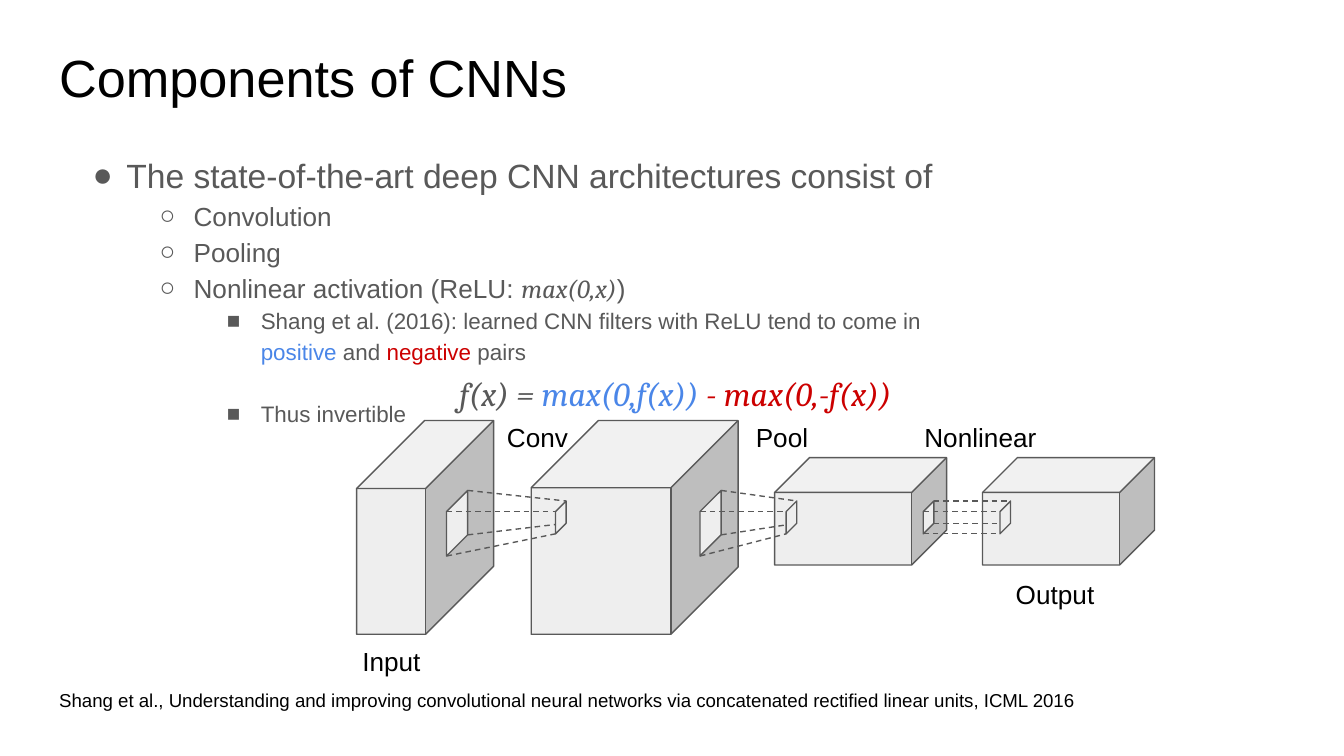
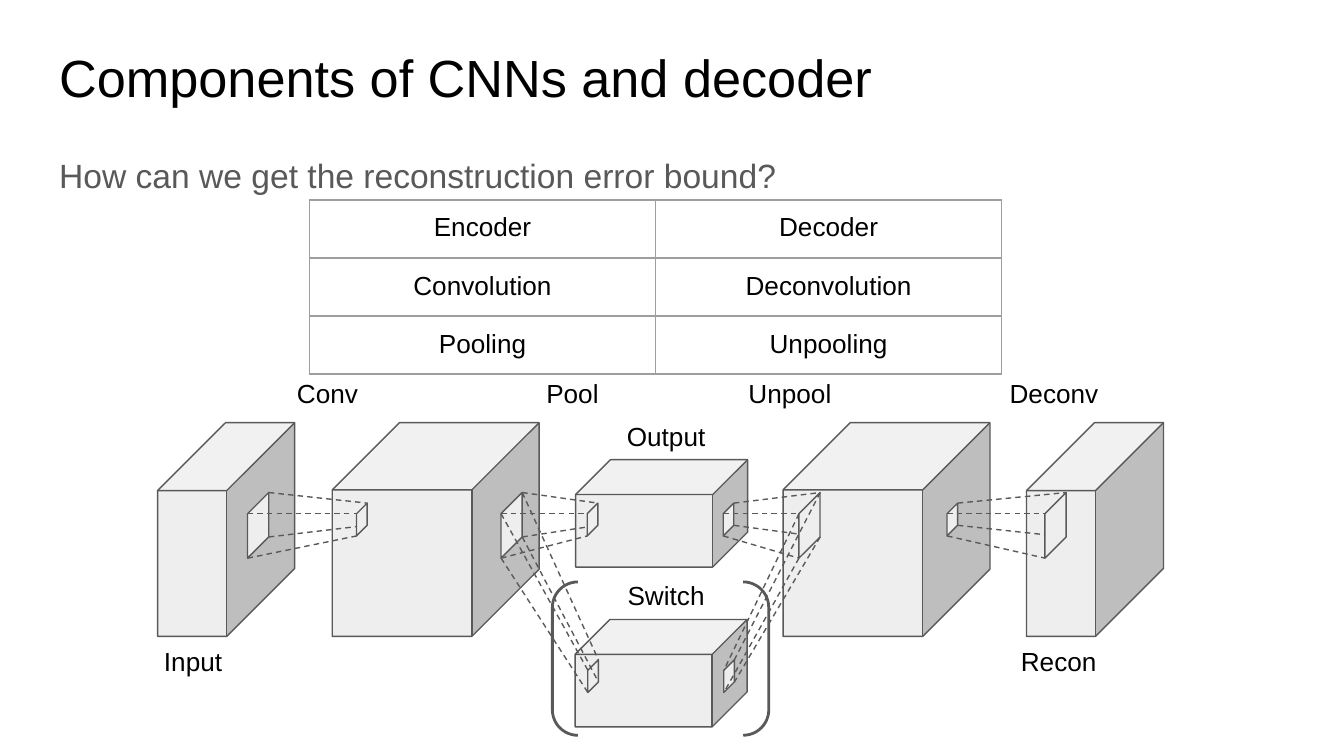
from collections import namedtuple

from lxml.etree import SubElement
from pptx import Presentation
from pptx.dml.color import RGBColor
from pptx.enum.dml import MSO_LINE
from pptx.enum.shapes import MSO_CONNECTOR, MSO_SHAPE
from pptx.enum.text import MSO_ANCHOR, PP_ALIGN
from pptx.oxml.ns import qn
from pptx.util import Cm, Pt

BLACK, GREY, PALE, RULE = "000000", "595959", "EEEEEE", "9E9E9E"
BLUE, RED = "4A86E8", "CC0000"
SERIF = {"font": "Cambria", "italic": True}
INSET = 0.25
BULLETS = "●○■"
BODY_SIZES = (18, 14, 12)
TITLE_BOX = (0.87, 0.61, 23.67, 1.6)
BODY_BOX = (0.87, 2.57, 23.67, 11.05)
CITATION_BOX = (0.87, 12.81, 23.67, 0.9)

SLAB = (2.59, 4.04, 0.496)
BLOCK = (3.91, 4.04, 0.325)
BRICK = (3.25, 2.03, 0.325)
SMALL, LARGE = 0.2, 0.4
PATCH_RATIO = 3.1
PATCH_DROP = 1.72

Patch = namedtuple("Patch", "left top width")


def rgb(color):
    return RGBColor.from_string(color)


def lengths(box):
    return [Cm(value) for value in box]


def write(paragraph, text, size=14, color=BLACK, font="Arial", italic=False):
    for index, line in enumerate(text.split("\n")):
        if index:
            paragraph.add_line_break()
        if line:
            run = paragraph.add_run()
            run.text = line
            run.font.size = Pt(size)
            run.font.name = font
            run.font.italic = italic
            run.font.color.rgb = rgb(color)


def add_text(slide, box, text="", align=PP_ALIGN.LEFT, anchor=MSO_ANCHOR.TOP,
             spacing=1.0, **text_format):
    frame = slide.shapes.add_textbox(*lengths(box)).text_frame
    frame.word_wrap = True
    frame.vertical_anchor = anchor
    frame.margin_left = frame.margin_right = Cm(INSET)
    frame.margin_top = frame.margin_bottom = Cm(INSET)
    paragraph = frame.paragraphs[0]
    paragraph.alignment = align
    paragraph.line_spacing = spacing
    write(paragraph, text, **text_format)
    return frame


def add_label(slide, text, center, top, width=2.11):
    add_text(slide, (center - width / 2, top, width, 0.91), text,
             align=PP_ALIGN.CENTER, anchor=MSO_ANCHOR.MIDDLE)


def add_bullet(paragraph, level):
    paragraph.level = level
    paragraph.line_spacing = 1.15
    properties = paragraph._p.get_or_add_pPr()
    properties.set("marL", str(Cm(1.27 * (level + 1))))
    properties.set("indent", str(Cm(-0.64)))
    bullet_color = SubElement(properties, qn("a:buClr"))
    SubElement(bullet_color, qn("a:srgbClr"), val=GREY)
    SubElement(properties, qn("a:buFont"), typeface="Arial")
    SubElement(properties, qn("a:buChar"), char=BULLETS[level])


def add_outline(slide, preset, box, fill=PALE, width=0.75):
    shape = slide.shapes.add_shape(preset, *lengths(box))
    shape.shadow.inherit = False
    if fill:
        shape.fill.solid()
        shape.fill.fore_color.rgb = rgb(fill)
    else:
        shape.fill.background()
    shape.line.color.rgb = rgb(GREY)
    shape.line.width = Pt(width)
    return shape


def add_layer(slide, left, top, form):
    width, height, depth = form
    cube = add_outline(slide, MSO_SHAPE.CUBE, (left, top, width, height))
    cube.adjustments[0] = depth


def add_patch(slide, patch):
    width, height = patch.width, patch.width * PATCH_RATIO
    center_x = patch.left + width / 2
    center_y = patch.top - width + height / 2
    box = (center_x - height / 2, center_y - width / 2, height, width)
    shape = add_outline(slide, MSO_SHAPE.PARALLELOGRAM, box)
    shape.adjustments[0] = 1.0
    shape.rotation = 90
    shape.element.spPr.xfrm.set("flipH", "1")


def patch_corners(patch):
    left, top, width = patch
    right = left + width
    edge = width * (PATCH_RATIO - 1)
    return ((left, top), (right, top - width),
            (right, top - width + edge), (left, top + edge))


def add_rays(slide, start, end):
    for begin, finish in zip(patch_corners(start), patch_corners(end)):
        ray = slide.shapes.add_connector(MSO_CONNECTOR.STRAIGHT,
                                         *lengths(begin + finish))
        ray.line.color.rgb = rgb(GREY)
        ray.line.width = Pt(0.75)
        ray.line.dash_style = MSO_LINE.DASH
        SubElement(ray.element.spPr, qn("a:effectLst"))


def add_link(slide, start, end):
    add_patch(slide, start)
    add_rays(slide, start, end)
    add_patch(slide, end)


def add_encoder(slide, left, top):
    add_layer(slide, left, top, SLAB)
    add_layer(slide, left + 3.3, top, BLOCK)
    add_layer(slide, left + 7.9, top + 0.7, BRICK)
    row = top + PATCH_DROP
    add_link(slide, Patch(left + 1.7, row, LARGE), Patch(left + 3.76, row, SMALL))
    pooling = Patch(left + 6.49, row, LARGE)
    add_link(slide, pooling, Patch(left + 8.12, row, SMALL))
    return pooling


def add_activation(slide, left, top):
    add_layer(slide, left + 1.12, top + 0.7, BRICK)
    row = top + PATCH_DROP
    add_link(slide, Patch(left, row, SMALL), Patch(left + 1.45, row, SMALL))


def add_decoder(slide, left, top):
    add_layer(slide, left, top, BLOCK)
    add_layer(slide, left + 4.6, top, SLAB)
    row = top + PATCH_DROP
    add_link(slide, Patch(left + 3.1, row, SMALL), Patch(left + 4.95, row, LARGE))
    unpooling = Patch(left + 0.3, row, LARGE)
    add_link(slide, Patch(left - 1.13, row, SMALL), unpooling)
    return unpooling


def add_switch(slide, left, top, pooling, unpooling):
    add_layer(slide, left + 0.43, top + 0.71, BRICK)
    row = top + 1.67
    for offset, partner in ((0.67, pooling), (3.24, unpooling)):
        patch = Patch(left + offset, row, SMALL)
        add_patch(slide, patch)
        add_rays(slide, partner, patch)
    add_outline(slide, MSO_SHAPE.DOUBLE_BRACKET, (left, top, 4.09, 2.9),
                fill=None, width=1.5)


def set_border(cell, index, side, width):
    border = cell._tc.get_or_add_tcPr().makeelement(qn(f"a:ln{side}"), w=str(Pt(width)))
    fill = SubElement(border, qn("a:solidFill"))
    SubElement(fill, qn("a:srgbClr"), val=RULE)
    cell._tc.tcPr.insert(index, border)


def add_pairs_table(slide, left, top, rows):
    column_width, heights = 6.54, (1.1, 0.66, 0.66)
    box = (left, top, column_width * 2, sum(heights))
    table = slide.shapes.add_table(len(rows), 2, *lengths(box)).table
    table.first_row = table.horz_banding = False
    for row_index, texts in enumerate(rows):
        table.rows[row_index].height = Cm(heights[row_index])
        for column_index, text in enumerate(texts):
            cell = table.cell(row_index, column_index)
            cell.fill.background()
            cell.margin_left = cell.margin_right = Cm(INSET)
            cell.margin_top = cell.margin_bottom = Cm(INSET)
            paragraph = cell.text_frame.paragraphs[0]
            paragraph.alignment = PP_ALIGN.CENTER
            write(paragraph, text)
            above = 1.5 if row_index == 1 else 0.75
            below = 1.5 if row_index == 0 else 0.75
            for index, (side, width) in enumerate(
                    zip("LRTB", (0.75, 0.75, above, below))):
                set_border(cell, index, side, width)


def add_outline_text(slide, items):
    frame = add_text(slide, BODY_BOX)
    for index, (level, space_before, runs) in enumerate(items):
        paragraph = frame.add_paragraph() if index else frame.paragraphs[0]
        paragraph.space_before = Pt(space_before)
        add_bullet(paragraph, level)
        for text, text_format in runs:
            write(paragraph, text,
                  **{"size": BODY_SIZES[level], "color": GREY, **text_format})


def add_titled_slide(presentation, title):
    slide = presentation.slides.add_slide(presentation.slide_layouts[6])
    add_text(slide, TITLE_BOX, title, size=28)
    return slide


def build_components(presentation):
    slide = add_titled_slide(presentation, "Components of CNNs")
    add_outline_text(slide, [
        (0, 0, [("The state-of-the-art deep CNN architectures consist of", {})]),
        (1, 0, [("Convolution", {})]),
        (1, 0, [("Pooling", {})]),
        (1, 0, [("Nonlinear activation (ReLU: ", {}), ("max(0,x)", SERIF), (")", {})]),
        (2, 0, [("Shang et al. (2016): learned CNN filters with ReLU tend to come in\n", {}),
                ("positive", {"color": BLUE}), (" and ", {}),
                ("negative", {"color": RED}), (" pairs", {})]),
        (2, 16.5, [("Thus invertible", {})]),
    ])
    add_text(slide, CITATION_BOX,
             "Shang et al., Understanding and improving convolutional neural networks "
             "via concatenated rectified linear units, ICML 2016", size=10)
    formula = add_text(slide, (8.36, 6.91, 8.81, 0.91), "f(x) = ", size=18, color=GREY,
                       align=PP_ALIGN.CENTER, anchor=MSO_ANCHOR.MIDDLE,
                       spacing=1.15, **SERIF)
    for text, color in (("max(0,f(x)) ", BLUE), ("- max(0,-f(x))", RED)):
        write(formula.paragraphs[0], text, size=18, color=color, **SERIF)
    add_encoder(slide, 6.74, 7.95)
    add_activation(slide, 17.45, 7.95)
    add_label(slide, "Input", 7.4, 12.05)
    add_label(slide, "Conv", 10.16, 7.8)
    add_label(slide, "Pool", 14.78, 7.8)
    add_label(slide, "Nonlinear", 18.53, 7.8, width=2.77)
    add_label(slide, "Output", 19.94, 10.78)


def build_decoder(presentation):
    slide = add_titled_slide(presentation, "Components of CNNs and decoder")
    add_text(slide, BODY_BOX, "How can we get the reconstruction error bound?",
             size=18, color=GREY, spacing=1.15)
    add_pairs_table(slide, 5.85, 3.78, [("Encoder", "Decoder"),
                                        ("Convolution", "Deconvolution"),
                                        ("Pooling", "Unpooling")])
    pooling = add_encoder(slide, 2.98, 7.99)
    unpooling = add_decoder(slide, 14.8, 7.99)
    add_switch(slide, 10.44, 11.0, pooling, unpooling)
    for text, center in (("Conv", 6.19), ("Pool", 10.82), ("Unpool", 14.93)):
        add_label(slide, text, center, 6.97)
    add_label(slide, "Deconv", 19.92, 6.97, width=2.49)
    for text, center in (("Input", 3.65), ("Recon", 20.01)):
        add_label(slide, text, center, 12.05)
    for text, top in (("Output", 7.78), ("Switch", 10.8)):
        add_label(slide, text, 12.59, top)


def main():
    presentation = Presentation()
    presentation.slide_width = Cm(25.4)
    presentation.slide_height = Cm(14.29)
    build_components(presentation)
    build_decoder(presentation)
    presentation.save("out.pptx")


if __name__ == "__main__":
    main()
